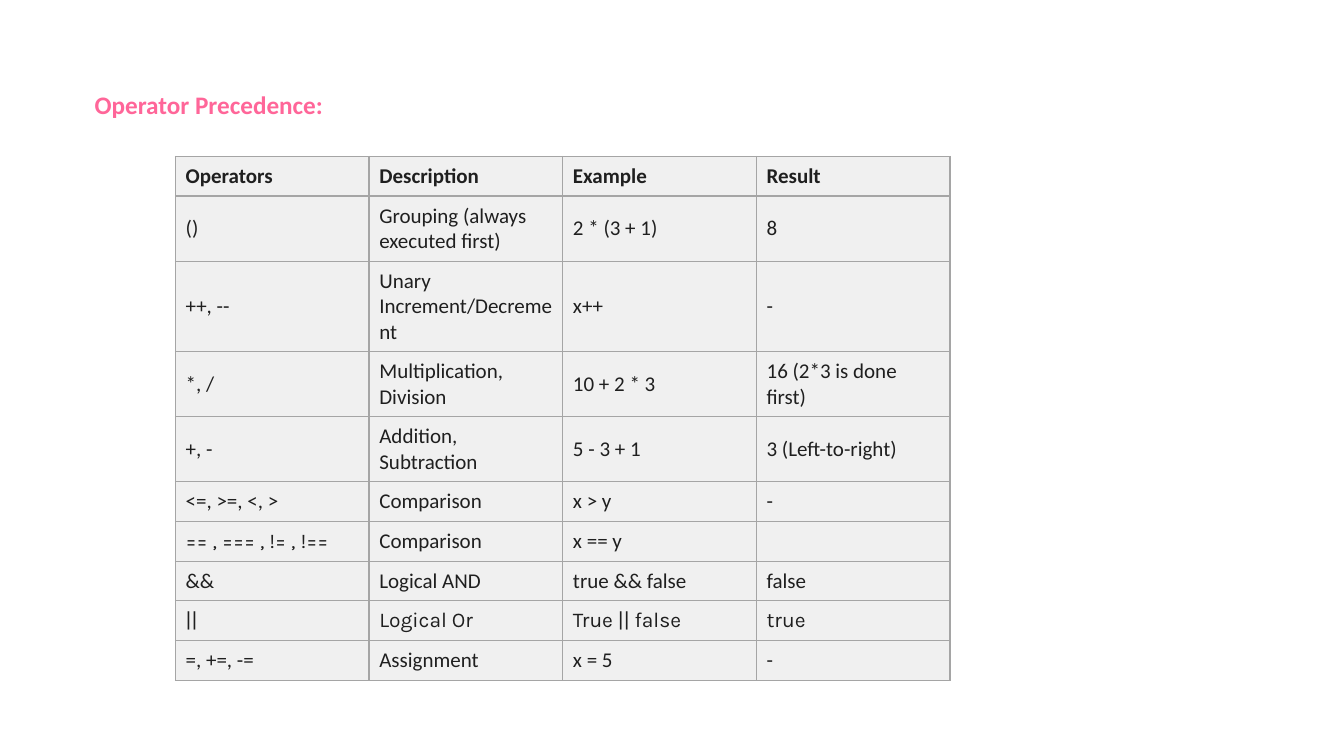
from lxml.etree import SubElement
from pptx import Presentation
from pptx.dml.color import RGBColor
from pptx.enum.text import MSO_ANCHOR as Anchor, MSO_AUTO_SIZE as AutoSize, PP_ALIGN as Align
from pptx.oxml.ns import qn
from pptx.util import Cm, Pt

TITLE = "Operator Precedence:"
HEADER = ("Operators", "Description", "Example", "Result")
OPERATORS = [
    ("()", "Grouping (always executed first)", "2 * (3 + 1)", "8"),
    ("++, --", "Unary Increment/Decrement", "x++", "-"),
    ("*, /", "Multiplication, Division", "10 + 2 * 3", "16 (2*3 is done first)"),
    ("+, -", "Addition, Subtraction", "5 - 3 + 1", "3 (Left-to-right)"),
    ("<=, >=, <, >", "Comparison", "x > y", "-"),
    ("== , === , != , !==", "Comparison", "x == y", ""),
    ("&&", "Logical AND", "true && false", "false"),
    ("||", "Logical Or", "True || false", "true"),
    ("=, +=, -=", "Assignment", "x = 5", "-"),
]
KARLA_TEXTS = {"== , === , != , !==", "||", "Logical Or", "True || false", "true"}
LINES_PER_ROW = (1, 2, 3, 2, 2, 1, 1, 1, 1, 1)

PINK = RGBColor(0xFF, 0x66, 0x99)
INK = RGBColor(0x1F, 0x1F, 0x1F)
PALE_GREY = RGBColor(0xF0, 0xF0, 0xF0)
BORDER_GREY = RGBColor(0xA5, 0xA5, 0xA5)

COLUMN_WIDTH = 4.88
LINE_HEIGHT = 0.64
MARGIN_X, MARGIN_Y = 0.26, 0.18
TEXT_SIZE = 15


def write(frame, text, font="Calibri", size=TEXT_SIZE, color=INK, bold=False, spacing=None):
    para = frame.paragraphs[0]
    para.alignment = Align.LEFT
    if spacing:
        para.line_spacing = spacing
    if not text:  # an empty cell still needs its size, or its row grows
        SubElement(para._p, qn("a:endParaRPr"), sz=str(size * 100))
        return
    span = para.add_run()
    span.text = text
    span.font.name = font
    span.font.size = Pt(size)
    span.font.bold = bold
    span.font.color.rgb = color


def add_borders(cell):
    properties = cell._tc.get_or_add_tcPr()
    for side in ("a:lnL", "a:lnR", "a:lnT", "a:lnB"):
        line = SubElement(properties, qn(side), w=str(Pt(1)))
        fill = SubElement(line, qn("a:solidFill"))
        SubElement(fill, qn("a:srgbClr"), val=str(BORDER_GREY))


def format_cell(cell):
    cell.vertical_anchor = Anchor.MIDDLE
    cell.margin_left = cell.margin_right = Cm(MARGIN_X)
    cell.margin_top = cell.margin_bottom = Cm(MARGIN_Y)
    add_borders(cell)
    cell.fill.solid()
    cell.fill.fore_color.rgb = PALE_GREY


def add_title(page):
    box = page.shapes.title
    box.left, box.top, box.width, box.height = Cm(2.13), Cm(1.73), Cm(27.64), Cm(1.3)
    frame = box.text_frame
    frame.word_wrap = True
    frame.auto_size = AutoSize.SHAPE_TO_FIT_TEXT
    frame.vertical_anchor = Anchor.TOP
    write(frame, TITLE, size=18, color=PINK, bold=True, spacing=1.5)


def add_operator_table(page):
    rows = [HEADER] + OPERATORS
    heights = [lines * LINE_HEIGHT + 2 * MARGIN_Y for lines in LINES_PER_ROW]
    table = page.shapes.add_table(
        len(rows), len(HEADER), Cm(4.42), Cm(3.94),
        Cm(COLUMN_WIDTH * len(HEADER)), Cm(sum(heights))).table
    table.first_row = table.horz_banding = False
    for column in table.columns:
        column.width = Cm(COLUMN_WIDTH)
    for row_index, (texts, height) in enumerate(zip(rows, heights)):
        table.rows[row_index].height = Cm(height)
        for column_index, text in enumerate(texts):
            cell = table.cell(row_index, column_index)
            format_cell(cell)
            font = "Karla" if text in KARLA_TEXTS else "Calibri"
            write(cell.text_frame, text, font=font, bold=row_index == 0)


def main():
    deck = Presentation()
    deck.slide_width, deck.slide_height = Cm(33.87), Cm(19.05)
    page = deck.slides.add_slide(deck.slide_layouts.get_by_name("Title Only"))
    add_title(page)
    add_operator_table(page)
    deck.save("out.pptx")


if __name__ == "__main__":
    main()
